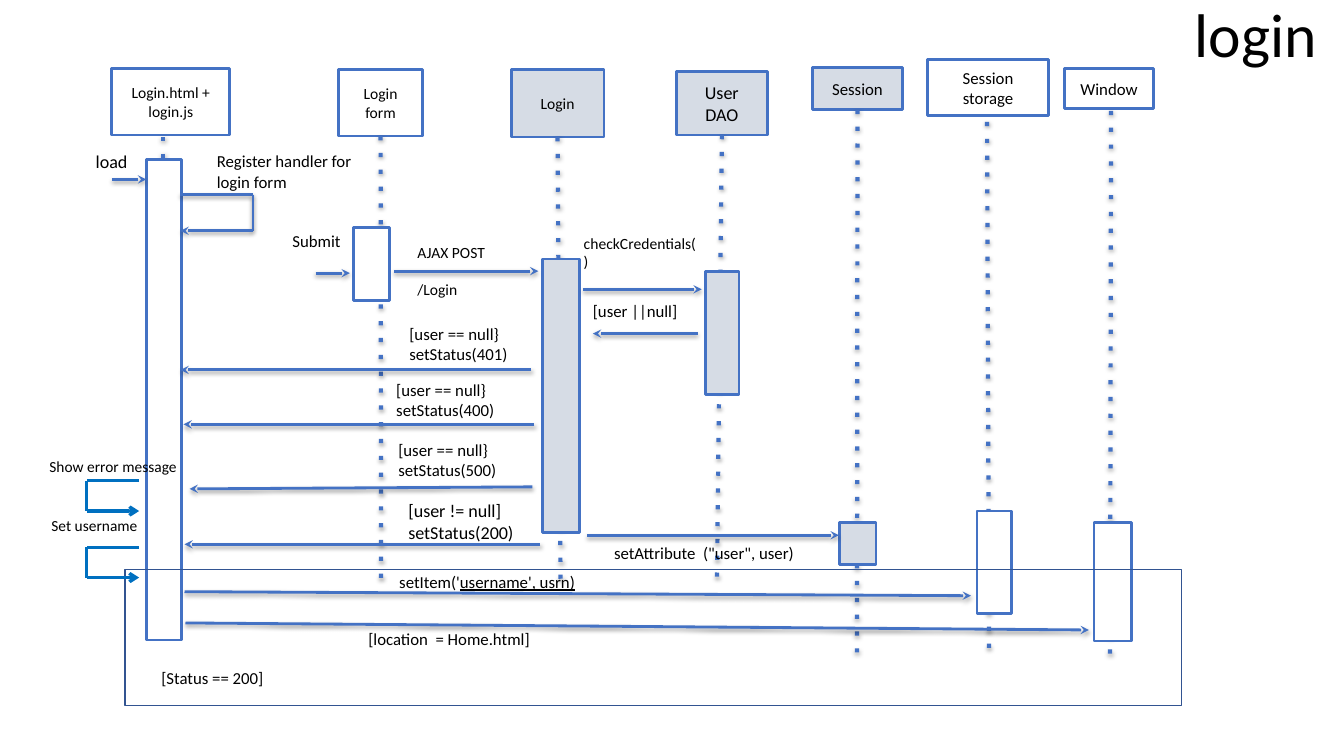
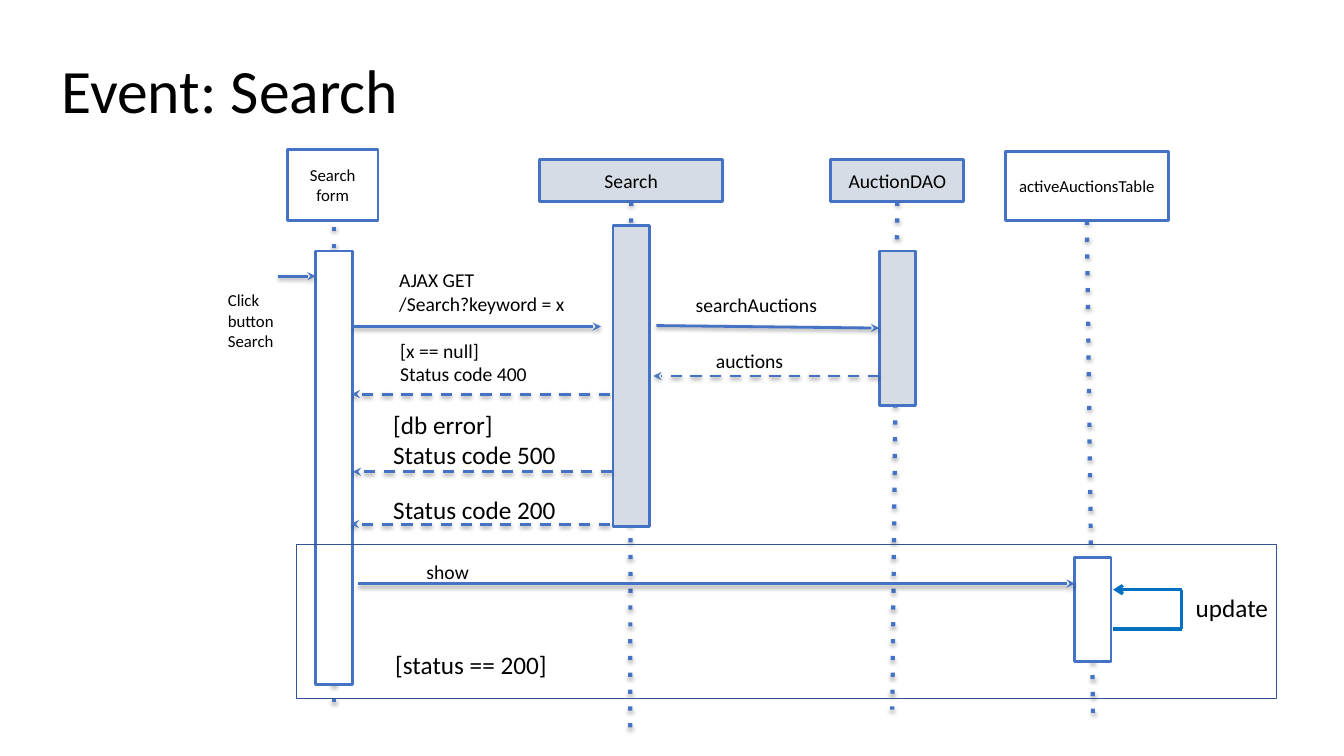
from lxml import etree
from pptx import Presentation
from pptx import util as u
from pptx.dml.color import RGBColor
from pptx.enum import shapes, text
from pptx.oxml.ns import qn

FONT = "Calibri"
BLACK, WHITE, GREY = "000000", "FFFFFF", "D6DCE5"
BLUE, BRIGHT, NAVY = "4472C4", "0070C0", "325491"
LEFT, CENTER = text.PP_ALIGN.LEFT, text.PP_ALIGN.CENTER


def color(value):
    return RGBColor.from_string(value)


class SequenceDeck:
    """Holds the shared style and the slide being drawn."""

    def __init__(self):
        self.presentation = Presentation()
        self.presentation.slide_width = u.Inches(13.33)
        self.presentation.slide_height = u.Inches(7.5)
        self.slide = None

    # Slide and title
    def add_slide(self, title, left, top, width, height):
        layout = self.presentation.slide_layouts.get_by_name("Title Only")
        self.slide = self.presentation.slides.add_slide(layout)
        shape = self.slide.shapes.title
        shape.left, shape.top = u.Inches(left), u.Inches(top)
        shape.width, shape.height = u.Inches(width), u.Inches(height)
        paragraph = self.fill_text(shape, title, 44, LEFT, text.MSO_ANCHOR.MIDDLE)
        paragraph.line_spacing = 0.9

    # Text
    def add_run(self, paragraph, words, size, underline=None):
        run = paragraph.add_run()
        run.text = words
        run.font.name = FONT
        run.font.size = u.Pt(size)
        run.font.color.rgb = color(BLACK)
        run.font.underline = underline

    def fill_text(self, shape, words, size, align, anchor, wrap=True, gap=0):
        frame = shape.text_frame
        frame.auto_size = text.MSO_AUTO_SIZE.NONE
        frame.word_wrap = wrap
        frame.vertical_anchor = anchor
        frame.margin_left = frame.margin_right = u.Inches(0.11)
        frame.margin_top = frame.margin_bottom = u.Inches(0.05)
        for index, line in enumerate(words.split("\n")):
            paragraph = frame.add_paragraph() if index else frame.paragraphs[0]
            paragraph.alignment = align
            if index and gap:
                paragraph.space_before = u.Pt(gap)
            self.add_run(paragraph, line, size)
        return paragraph

    def label(self, words, left, top, width, height, size=12,
              wrap=False, align=LEFT, gap=0):
        shape = self.slide.shapes.add_textbox(
            u.Inches(left), u.Inches(top), u.Inches(width), u.Inches(height))
        return self.fill_text(shape, words, size, align, text.MSO_ANCHOR.TOP, wrap, gap)

    # Rectangles
    def box(self, area, fill=None, line=BLUE, weight=2):
        shape = self.slide.shapes.add_shape(
            shapes.MSO_SHAPE.RECTANGLE, *(u.Inches(length) for length in area))
        shape.shadow.inherit = False
        if fill:
            shape.fill.solid()
            shape.fill.fore_color.rgb = color(fill)
        else:
            shape.fill.background()
        shape.line.color.rgb = color(line)
        shape.line.width = u.Pt(weight)
        return shape

    def frame(self, left, top, width, height):
        self.box((left, top, width, height), line=NAVY, weight=1)

    # Lines
    def line(self, start, end, stroke=BLUE, weight=2, dash=None, head=None, shadow=True):
        connector = self.slide.shapes.add_connector(
            shapes.MSO_CONNECTOR.STRAIGHT,
            *(u.Inches(length) for length in (*start, *end)))
        connector.line.color.rgb = color(stroke)
        connector.line.width = u.Pt(weight)
        properties = connector.element.spPr
        outline = properties.find(qn("a:ln"))
        if dash:
            etree.SubElement(outline, qn("a:prstDash"), val=dash)
        if head:
            etree.SubElement(outline, qn("a:tailEnd"), type=head)
        effects = etree.SubElement(properties, qn("a:effectLst"))
        if shadow:
            outer = etree.SubElement(
                effects, qn("a:outerShdw"), blurRad=str(u.Pt(3.1)),
                dist=str(u.Pt(1.7)), dir="5400000", rotWithShape="0")
            tint = etree.SubElement(outer, qn("a:srgbClr"), val=BLACK)
            etree.SubElement(tint, qn("a:alpha"), val="37000")
        return connector

    def message(self, start, end, dash=None):
        return self.line(start, end, dash=dash, head="stealth")

    def loop(self, points, stroke=BRIGHT, weight=2.25, head="arrow", shadow=False):
        last = len(points) - 2
        for index, (start, end) in enumerate(zip(points, points[1:])):
            self.line(start, end, stroke, weight, None,
                      head if index == last else None, shadow)

    # Header, dotted lifeline and activation bar
    def participant(self, name, header, end, bar, size=12, fill=WHITE, start=None):
        head = self.box(header, fill)
        self.fill_text(head, name, size, CENTER, text.MSO_ANCHOR.MIDDLE)
        left, top, width, height = header
        lifeline = self.line(start or (left + width / 2, top + height), end,
                             weight=3, dash="dot")
        if start is None:
            lifeline.begin_connect(head, 2)
        return self.box(bar, fill)


def build_login(deck):
    deck.add_slide("login", 11.74, 0.14, 1.59, 0.46)

    # Participants
    deck.participant("Login.html + login.js", (1.11, 0.68, 1.17, 0.66), (1.62, 5.82),
                     (1.45, 1.58, 0.35, 4.77), 11.1, start=(1.62, 1.36))
    deck.participant("Login form", (3.36, 0.69, 0.83, 0.66), (3.78, 5.83),
                     (3.51, 2.26, 0.35, 0.72), 11.1)
    deck.participant("Login", (5.07, 0.69, 0.92, 0.67), (5.56, 5.83),
                     (5.38, 2.57, 0.37, 2.71), 11.1, GREY)
    deck.participant("User\nDAO", (6.71, 0.71, 0.9, 0.63), (7.11, 5.84),
                     (7, 2.69, 0.33, 1.22), 12.9, GREY)
    deck.participant("Session", (8.06, 0.67, 0.89, 0.42), (8.5, 6.57),
                     (8.33, 5.18, 0.36, 0.42), fill=GREY)
    deck.participant("Session storage", (9.2, 0.59, 1.2, 0.56), (9.81, 6.52),
                     (9.69, 5.07, 0.34, 1.02), start=(9.79, 1.21))
    deck.participant("Window", (10.56, 0.68, 0.88, 0.4), (11.01, 6.51),
                     (10.85, 5.18, 0.37, 1.18), start=(11.02, 1.1))

    # Page load and form submit
    deck.message((1.11, 1.78), (1.45, 1.78))
    deck.label("load", 0.84, 1.44, 0.63, 0.45, 12.9, wrap=True)
    deck.loop([(1.79, 1.93), (2.51, 1.93), (2.51, 2.29), (1.79, 2.29)],
              BLUE, 2, "stealth", True)
    deck.label("Register handler for login form", 2.04, 1.45, 1.89, 0.45, wrap=True)
    deck.message((3.13, 2.71), (3.47, 2.71))
    deck.label("Submit", 2.79, 2.24, 0.68, 0.3)
    deck.message((3.91, 2.69), (5.34, 2.69))
    deck.label("AJAX POST\n/Login", 4.03, 2.36, 1.23, 0.97, 11.1, wrap=True, gap=13.5)

    # Credential check
    deck.message((5.78, 2.87), (6.96, 2.87))
    deck.label("checkCredentials()", 5.68, 2.27, 1.37, 0.6, 11.1, wrap=True)
    deck.message((6.92, 3.31), (5.88, 3.31))
    deck.label("[user ||null]", 5.77, 2.93, 1.05, 0.3)

    # Error replies
    for status, left, top, start, end in (
            (401, 3.95, 3.16, (5.27, 3.67), (1.79, 3.67)),
            (400, 3.82, 3.72, (5.3, 4.21), (1.82, 4.21)),
            (500, 3.84, 4.31, (5.28, 4.83), (1.88, 4.85))):
        deck.message(start, end)
        deck.label(f"[user == null}}\nsetStatus({status})", left, top, 1.19, 0.5)

    # Successful reply
    deck.message((5.36, 5.4), (1.83, 5.4))
    deck.label("[user != null]\nsetStatus(200)", 3.94, 4.91, 1.29, 0.31, 12.9, wrap=True)
    deck.message((5.82, 5.31), (8.32, 5.31))
    deck.label('setAttribute  ("user", user)', 5.98, 5.33, 2.42, 0.61, wrap=True)
    deck.message((1.83, 5.87), (9.63, 5.91))
    paragraph = deck.label("setItem('", 3.85, 5.62, 1.96, 0.3)
    deck.add_run(paragraph, "username', usrn)", 12, underline=True)
    deck.message((1.84, 6.18), (10.8, 6.25))
    deck.label("[location  = Home.html]", 1.12, 6.19, 6.67, 0.3, wrap=True, align=CENTER)
    deck.frame(1.24, 5.65, 10.48, 1.35)
    deck.label("[Status == 200]", 1.49, 6.58, 1.23, 0.3)

    # Page updates
    for words, left, top, width, loop_top in (
            ("Show error message", 0.38, 4.49, 1.48, 4.77),
            ("Set username", 0.4, 5.07, 1.06, 5.43)):
        bottom = loop_top + 0.3
        deck.loop([(1.38, loop_top), (0.86, loop_top), (0.86, bottom), (1.38, bottom)])
        deck.label(words, left, top, width, 0.29, 11)


def build_search(deck):
    deck.add_slide("Event: Search", 0.5, 0.2, 3.8, 1.45)

    # Participants
    deck.participant("Search form", (2.85, 1.48, 0.9, 0.71), (3.31, 7.09),
                     (3.13, 2.49, 0.37, 4.3), start=(3.31, 2.25))
    deck.participant("Search", (5.35, 1.58, 1.82, 0.42), (6.25, 7.23),
                     (6.08, 2.24, 0.36, 2.98), 14, GREY)
    auction_bar = deck.participant("AuctionDAO", (8.24, 1.58, 1.32, 0.42), (8.85, 7.04),
                                   (8.72, 2.49, 0.36, 1.53), 14, GREY)
    deck.participant("activeAuctionsTable", (9.97, 1.5, 1.62, 0.69), (10.84, 7.09),
                     (10.66, 5.53, 0.36, 1.03))

    # Requests
    deck.message((2.76, 2.74), (3.13, 2.74))
    deck.label("Click\nbutton\nSearch", 2.15, 2.83, 1.09, 0.84, wrap=True)
    deck.message((3.5, 3.24), (5.96, 3.24))
    deck.label("AJAX GET\n/Search?keyword = x", 3.85, 2.61, 1.9, 0.58, 14, wrap=True)
    deck.message((6.51, 3.23), (8.72, 3.25)).end_connect(auction_bar, 1)
    deck.label("searchAuctions", 6.79, 2.86, 2.12, 0.55, 14, wrap=True)

    # Replies
    for start, end, y in ((8.72, 6.48, 3.73), (6.05, 3.49, 3.91),
                          (6.07, 3.5, 4.68), (6.05, 3.48, 5.2)):
        deck.message((start, y), (end, y), dash="dash")
    deck.label("auctions", 6.99, 3.41, 2.12, 0.55, 14, wrap=True)
    deck.label("[x == null]\nStatus code 400", 3.86, 3.31, 2.12, 0.55, 14, wrap=True)
    deck.label("[db error]\nStatus code 500", 3.79, 4.01, 1.83, 0.71, 18)
    deck.label("Status code 200", 3.79, 4.86, 1.81, 0.4, 18)

    # Table update
    deck.message((3.55, 5.79), (10.66, 5.79))
    deck.label("show", 3.53, 5.51, 1.82, 0.48, 14, wrap=True, align=CENTER)
    deck.loop([(11.04, 6.24), (11.72, 6.24), (11.72, 5.85), (11.04, 5.85)])
    deck.label("update", 11.75, 5.83, 0.93, 0.4, 18)
    deck.frame(2.94, 5.4, 9.72, 1.53)
    deck.label("[status == 200]", 3.81, 6.39, 1.72, 0.4, 18)


def main():
    deck = SequenceDeck()
    build_login(deck)
    build_search(deck)
    deck.presentation.save("out.pptx")


if __name__ == "__main__":
    main()
